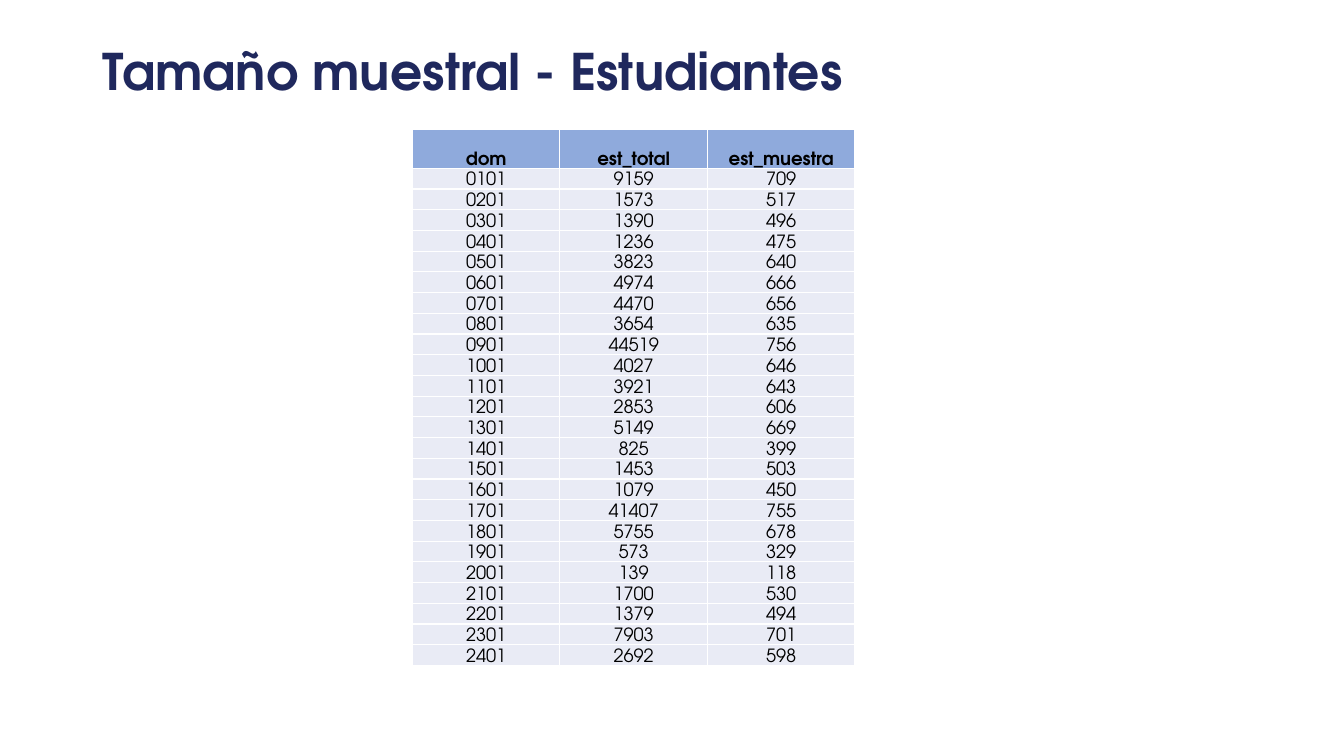
from lxml import etree
from pptx import Presentation
from pptx.dml.color import RGBColor
from pptx.enum import text
from pptx.oxml import ns
from pptx.util import Inches, Pt

# Content
HEADING = "Tamaño muestral - Estudiantes"
COLUMNS = ("dom", "est_total", "est_muestra")
DOMAINS = [
    ("0101", 9159, 709), ("0201", 1573, 517), ("0301", 1390, 496),
    ("0401", 1236, 475), ("0501", 3823, 640), ("0601", 4974, 666),
    ("0701", 4470, 656), ("0801", 3654, 635), ("0901", 44519, 756),
    ("1001", 4027, 646), ("1101", 3921, 643), ("1201", 2853, 606),
    ("1301", 5149, 669), ("1401", 825, 399), ("1501", 1453, 503),
    ("1601", 1079, 450), ("1701", 41407, 755), ("1801", 5755, 678),
    ("1901", 573, 329), ("2001", 139, 118), ("2101", 1700, 530),
    ("2201", 1379, 494), ("2301", 7903, 701), ("2401", 2692, 598),
]

# Format
COLORS = {"heading": "1F285D", "text": "000000", "header": "8FAADC",
          "body": "E9EBF5", "border": "FFFFFF"}
FONT = "TeX Gyre Adventor"
LINE_SPACING = 0.9
CELL_FORMAT = {"margin_left": Inches(0.01), "margin_top": Inches(0.01),
               "margin_right": Inches(0.01), "margin_bottom": 0,
               "vertical_anchor": text.MSO_ANCHOR.BOTTOM}
TABLE_LEFT, TABLE_TOP, TABLE_WIDTH = 4.09, 1.28, 4.39
HEADER_HEIGHT, BODY_HEIGHT = 0.39, 4.94


def write(paragraph, words, size, color, bold):
    paragraph.line_spacing = LINE_SPACING
    run = paragraph.add_run()
    run.text = words
    formats = {"name": FONT, "size": Pt(size), "bold": bold}
    for key, value in formats.items():
        setattr(run.font, key, value)
    run.font.color.rgb = RGBColor.from_string(COLORS[color])


def add_borders(cell):
    properties = cell._tc.get_or_add_tcPr()
    for side in ("a:lnL", "a:lnR", "a:lnT", "a:lnB"):
        line = etree.SubElement(properties, ns.qn(side), w=str(Pt(1)))
        fill = etree.SubElement(line, ns.qn("a:solidFill"))
        etree.SubElement(fill, ns.qn("a:srgbClr"), val=COLORS["border"])


def add_heading(slide):
    heading = slide.shapes.add_textbox(
        Inches(0.92), Inches(0.37), Inches(8.46), Inches(0.74)).text_frame
    heading.word_wrap = True
    heading.vertical_anchor = text.MSO_ANCHOR.MIDDLE
    write(heading.paragraphs[0], HEADING, 36, "heading", True)


def add_sample_table(slide):
    records = [COLUMNS, *DOMAINS]
    sample = slide.shapes.add_table(
        len(records), len(COLUMNS), Inches(TABLE_LEFT), Inches(TABLE_TOP),
        Inches(TABLE_WIDTH), Inches(HEADER_HEIGHT + BODY_HEIGHT)).table
    sample.horz_banding = False
    for column in sample.columns:
        column.width = Inches(TABLE_WIDTH / len(COLUMNS))

    for r, record in enumerate(records):
        is_header = r == 0
        sample.rows[r].height = Inches(
            HEADER_HEIGHT if is_header else BODY_HEIGHT / len(DOMAINS))
        for c, value in enumerate(record):
            cell = sample.cell(r, c)
            for key, setting in CELL_FORMAT.items():
                setattr(cell, key, setting)
            add_borders(cell)
            cell.fill.solid()
            cell.fill.fore_color.rgb = RGBColor.from_string(
                COLORS["header" if is_header else "body"])
            paragraph = cell.text_frame.paragraphs[0]
            paragraph.alignment = text.PP_ALIGN.CENTER
            write(paragraph, str(value), 13, "text", is_header)


def main():
    deck = Presentation()
    deck.slide_width, deck.slide_height = Inches(13.33), Inches(7.5)
    slide = deck.slides.add_slide(deck.slide_layouts[6])
    add_heading(slide)
    add_sample_table(slide)
    deck.save("out.pptx")


if __name__ == "__main__":
    main()
